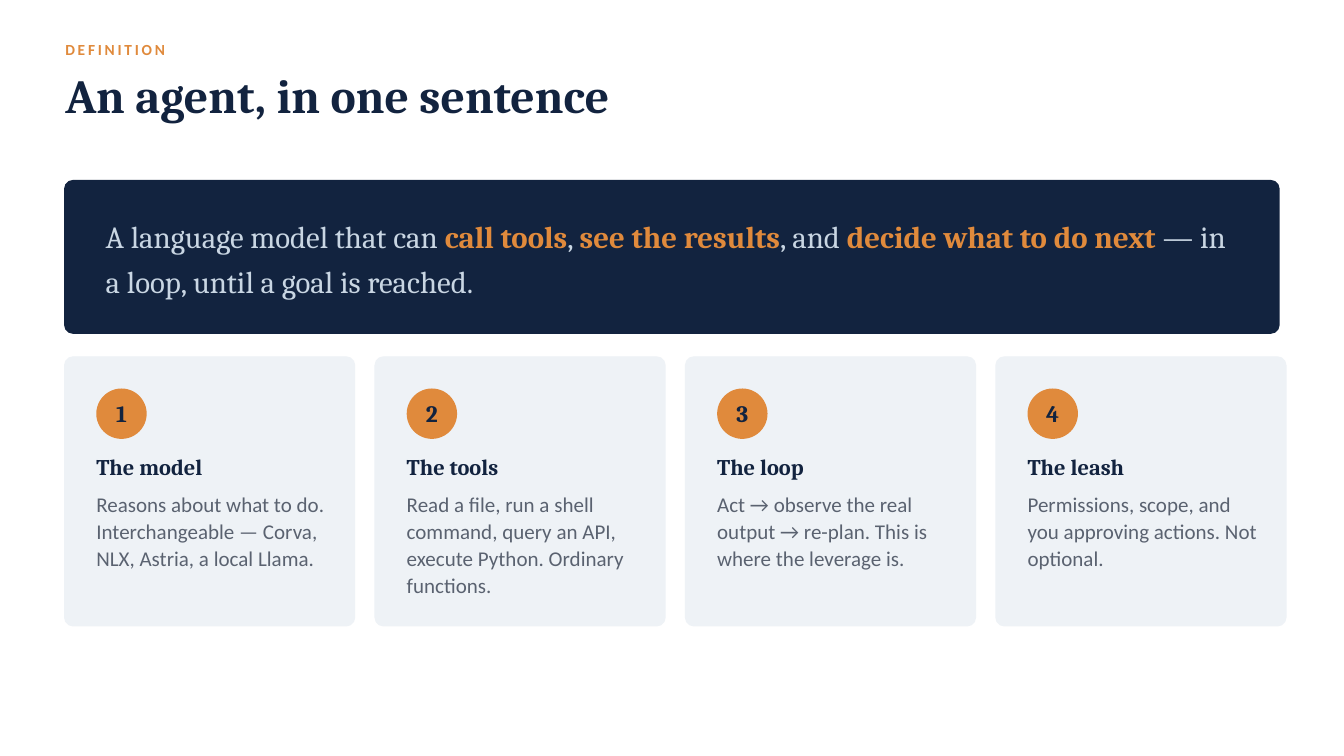
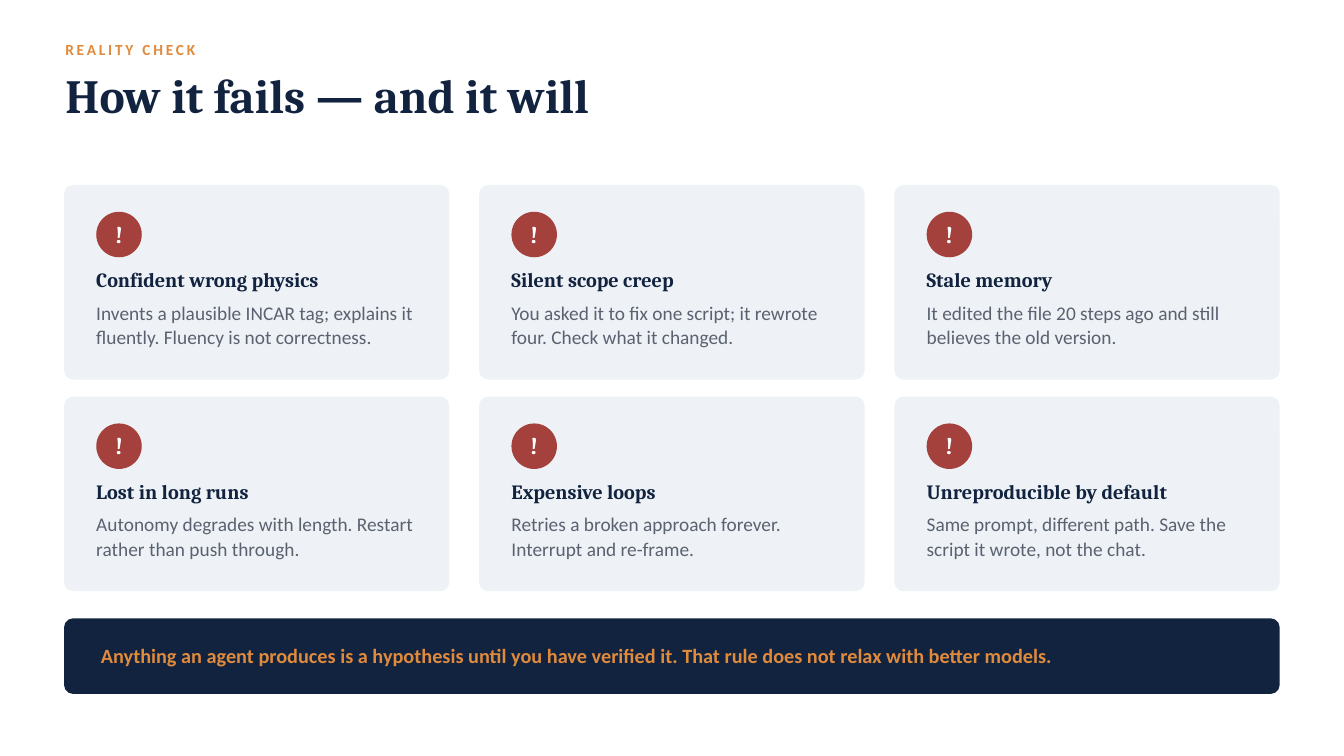
import dataclasses

import pptx
import pptx.dml.color
import pptx.enum.shapes
import pptx.enum.text
import pptx.util

Pt = pptx.util.Pt
RGBColor = pptx.dml.color.RGBColor
MSO_SHAPE = pptx.enum.shapes.MSO_SHAPE
MSO_ANCHOR = pptx.enum.text.MSO_ANCHOR
PP_ALIGN = pptx.enum.text.PP_ALIGN

NAVY = RGBColor(0x12, 0x23, 0x3F)
ORANGE = RGBColor(0xE0, 0x8A, 0x3C)
RED = RGBColor(0xA4, 0x41, 0x3C)
PALE = RGBColor(0xEE, 0xF2, 0xF6)
ICE = RGBColor(0xC9, 0xD6, 0xE3)
GREY = RGBColor(0x5A, 0x62, 0x70)
WHITE = RGBColor(0xFF, 0xFF, 0xFF)

SERIF = "Cambria"
SANS = "Calibri"

MARGIN = 69.4
CONTENT_WIDTH = 1301
CORNER = 9
CARD_PADDING = 33.75


@dataclasses.dataclass
class CardStyle:
    """Measures of one kind of card; the tops count from the card's top."""
    width: float
    height: float
    badge_top: float
    badge_size: float
    badge_fill: RGBColor
    badge_color: RGBColor
    heading_top: float
    heading_size: float
    body_top: float
    body_size: float
    line_height: float
    text_width: float


PART_CARD = CardStyle(
    width=310.5, height=288, badge_top=33.75, badge_size=54,
    badge_fill=ORANGE, badge_color=NAVY, heading_top=102.75, heading_size=24,
    body_top=142.5, body_size=22.5, line_height=28.8, text_width=248.5)
FAILURE_CARD = CardStyle(
    width=411.3, height=207, badge_top=28, badge_size=48.75,
    badge_fill=RED, badge_color=WHITE, heading_top=87.75, heading_size=21.75,
    body_top=122.25, body_size=20.75, line_height=26.1, text_width=351.5)

PARTS = [
    ("The model", "Reasons about what to do. Interchangeable — Corva, "
                  "NLX, Astria, a local Llama."),
    ("The tools", "Read a file, run a shell command, query an API, "
                  "execute Python. Ordinary functions."),
    ("The loop", "Act → observe the real output → re-plan. "
                 "This is where the leverage is."),
    ("The leash", "Permissions, scope, and you approving actions. "
                  "Not optional."),
]
FAILURES = [
    ("Confident wrong physics", "Invents a plausible INCAR tag; explains it "
                                "fluently. Fluency is not correctness."),
    ("Silent scope creep", "You asked it to fix one script; it rewrote four. "
                           "Check what it changed."),
    ("Stale memory", "It edited the file 20 steps ago and still believes "
                     "the old version."),
    ("Lost in long runs", "Autonomy degrades with length. Restart rather "
                          "than push through."),
    ("Expensive loops", "Retries a broken approach forever. "
                        "Interrupt and re-frame."),
    ("Unreproducible by default", "Same prompt, different path. Save the "
                                  "script it wrote, not the chat."),
]


def write(frame, runs, font, size, line_height, insets=(0, 0, 0, 0),
          anchor=MSO_ANCHOR.TOP, align=PP_ALIGN.LEFT, spacing=0):
    """Fill a frame with one paragraph of (text, color, bold) runs."""
    frame.word_wrap = True
    frame.vertical_anchor = anchor
    (frame.margin_left, frame.margin_top,
     frame.margin_right, frame.margin_bottom) = map(Pt, insets)
    paragraph = frame.paragraphs[0]
    paragraph.alignment = align
    paragraph.line_spacing = Pt(line_height)
    for text, color, bold in runs:
        run = paragraph.add_run()
        run.text = text
        run.font.name = font
        run.font.size = Pt(size)
        run.font.bold = bold
        run.font.color.rgb = color
        if spacing:
            run.font._element.set("spc", str(spacing * 100))


def add_text(slide, left, top, width, height, runs, *style, **options):
    box = slide.shapes.add_textbox(Pt(left), Pt(top), Pt(width), Pt(height))
    write(box.text_frame, runs, *style, **options)


def add_panel(slide, left, top, width, height, fill):
    panel = slide.shapes.add_shape(MSO_SHAPE.ROUNDED_RECTANGLE,
                                   Pt(left), Pt(top), Pt(width), Pt(height))
    panel.adjustments[0] = CORNER / min(width, height)
    panel.shadow.inherit = False
    panel.fill.solid()
    panel.fill.fore_color.rgb = fill
    panel.line.color.rgb = fill
    panel.line.width = Pt(1.5)
    return panel


def add_band(slide, top, height, runs, *style, insets):
    band = add_panel(slide, MARGIN, top, CONTENT_WIDTH, height, NAVY)
    write(band.text_frame, runs, *style, insets=insets,
          anchor=MSO_ANCHOR.MIDDLE)


def add_badge(slide, left, top, size, symbol, fill, color):
    badge = slide.shapes.add_shape(MSO_SHAPE.OVAL, Pt(left), Pt(top),
                                   Pt(size), Pt(size))
    badge.shadow.inherit = False
    badge.fill.solid()
    badge.fill.fore_color.rgb = fill
    badge.line.fill.background()
    write(badge.text_frame, [(symbol, color, True)], SERIF, 25.2, 30.2,
          insets=(0, 0, 0, 1.5), anchor=MSO_ANCHOR.MIDDLE,
          align=PP_ALIGN.CENTER)


def add_card(slide, left, top, style, symbol, heading, body):
    add_panel(slide, left, top, style.width, style.height, PALE)
    inner_left = left + CARD_PADDING
    add_badge(slide, inner_left, top + style.badge_top, style.badge_size,
              symbol, style.badge_fill, style.badge_color)
    add_text(slide, inner_left, top + style.heading_top, style.text_width, 39,
             [(heading, NAVY, True)], SERIF, style.heading_size,
             style.line_height)
    add_text(slide, inner_left, top + style.body_top, style.text_width,
             style.height - style.body_top - 11, [(body, GREY, False)],
             SANS, style.body_size, style.line_height)


def add_titled_slide(deck, kicker, title):
    slide = deck.slides.add_slide(deck.slide_layouts[6])
    slide.background.fill.solid()
    slide.background.fill.fore_color.rgb = WHITE
    add_text(slide, 70, 39, 1188, 32.25, [(kicker, ORANGE, True)],
             SANS, 16.5, 23.8, spacing=3)
    add_text(slide, 70, 70.75, 1296, 93, [(title, NAVY, True)],
             SERIF, 51, 61.2)
    return slide


def build_definition(deck):
    slide = add_titled_slide(deck, "DEFINITION", "An agent, in one sentence")
    sentence = [
        ("A language model that can ", ICE, False),
        ("call tools", ORANGE, True),
        (", ", ICE, False),
        ("see the results", ORANGE, True),
        (", and ", ICE, False),
        ("decide what to do next", ORANGE, True),
        (" — in a loop, until a goal is reached.", ICE, False),
    ]
    add_band(slide, 193.5, 163.5, sentence, SERIF, 33, 48,
             insets=(41.25, 0, 44.5, 5))
    for index, (heading, body) in enumerate(PARTS):
        add_card(slide, MARGIN + index * 332.6, 382.5, PART_CARD,
                 str(index + 1), heading, body)


def build_reality_check(deck):
    slide = add_titled_slide(deck, "REALITY CHECK",
                             "How it fails — and it will")
    columns = 3
    column_step = (CONTENT_WIDTH - FAILURE_CARD.width) / (columns - 1)
    for index, (heading, body) in enumerate(FAILURES):
        row, column = divmod(index, columns)
        add_card(slide, MARGIN + column * column_step, 198.9 + row * 226.8,
                 FAILURE_CARD, "!", heading, body)
    rule = ("Anything an agent produces is a hypothesis until you have "
            "verified it. That rule does not relax with better models.")
    add_band(slide, 663.25, 79.5, [(rule, ORANGE, True)], SANS, 21.75, 26.1,
             insets=(36, 0, 39, 2))


def main():
    deck = pptx.Presentation()
    deck.slide_width = Pt(1440)
    deck.slide_height = Pt(810)
    build_definition(deck)
    build_reality_check(deck)
    deck.save("out.pptx")


if __name__ == "__main__":
    main()
